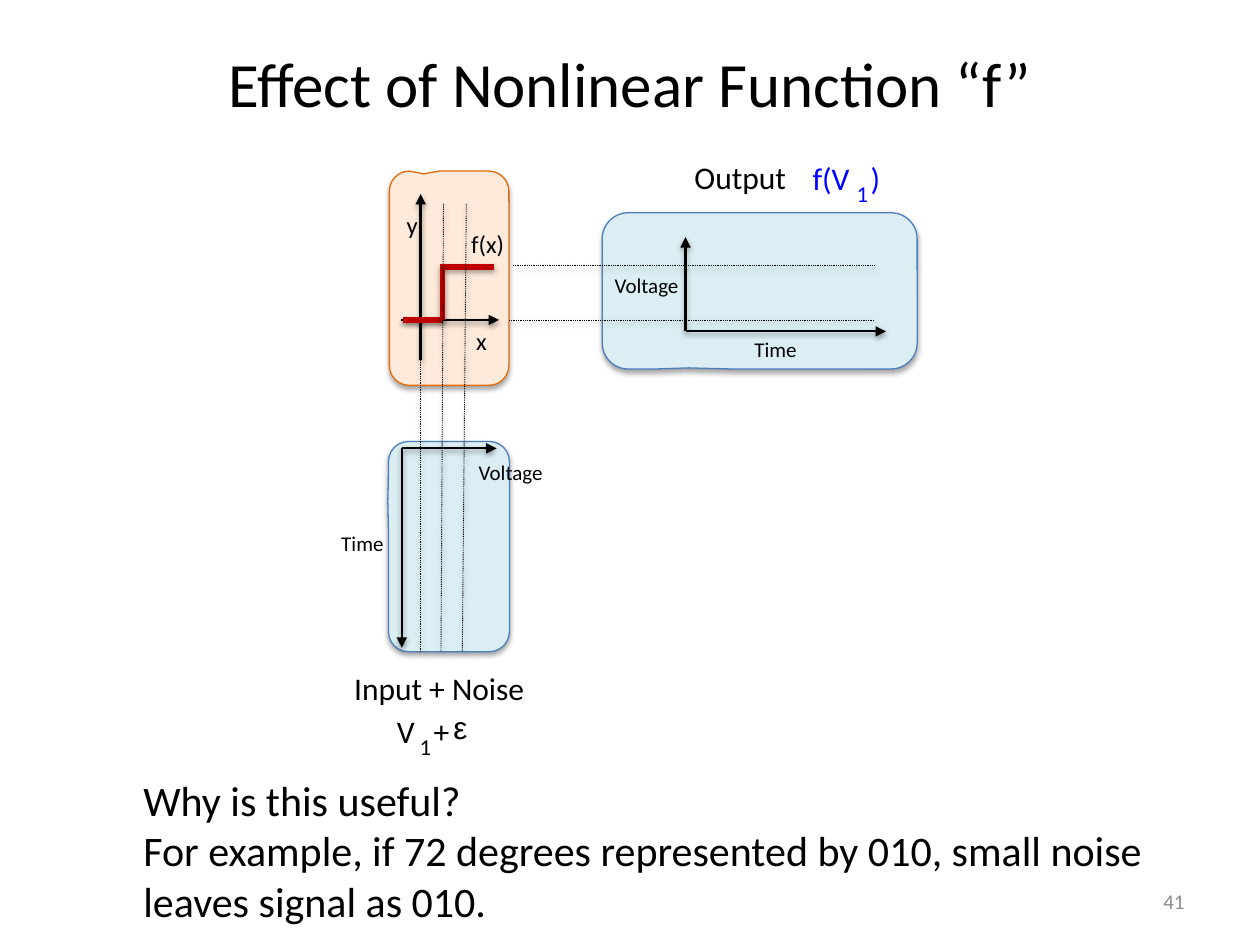
"""Build a slide on how a nonlinear step function suppresses input noise."""
from lxml import etree
from pptx import Presentation
from pptx.dml.color import RGBColor
from pptx.enum.dml import MSO_LINE
from pptx.enum.shapes import MSO_CONNECTOR, MSO_SHAPE
from pptx.enum.text import MSO_ANCHOR, MSO_AUTO_SIZE, PP_ALIGN
from pptx.oxml import parse_xml
from pptx.oxml.ns import nsdecls, qn
from pptx.util import Cm, Pt


def color(value):
    return RGBColor.from_string(value)


def add_shadow(shape, alpha, distance):
    shape._element.spPr.append(parse_xml(
        f'<a:effectLst {nsdecls("a")}><a:outerShdw blurRad="{Pt(3.1)}" dist="{Pt(distance)}" '
        'dir="5400000" rotWithShape="0"><a:srgbClr val="000000">'
        f'<a:alpha val="{alpha * 1000}"/></a:srgbClr></a:outerShdw></a:effectLst>'))


deck = Presentation()
deck.slide_width, deck.slide_height = Cm(25.4), Cm(19.05)
page = deck.slides.add_slide(deck.slide_layouts[6])

panels = [
    ((6.93, 9.8, 4.24, 2.44), 90, (-0.214, 0.505, 0.167), "DBEEF4", "4B7EBC"),
    ((7.85, 3.45, 2.41, 4.32), 0, (-0.214, -0.487, 0.167), "FDEADA", "E46C0A"),
    ((12.14, 4.29, 6.35, 3.15), 0, (-0.226, 0.493, 0.167), "DBEEF4", "4B7EBC"),
]
for place, rotation, adjustments, fill, outline in panels:
    panel = page.shapes.add_shape(MSO_SHAPE.ROUNDED_RECTANGULAR_CALLOUT, *map(Cm, place))
    panel.rotation = rotation
    for index, value in enumerate(adjustments):
        panel.adjustments[index] = value
    panel.fill.solid()
    panel.fill.fore_color.rgb = color(fill)
    panel.line.color.rgb = color(outline)
    panel.line.width = Pt(0.75)
    add_shadow(panel, 35, 1.8)

line_groups = [
    ("000000", 1.5, True, [(8.08, 6.45, 10.06, 6.45), (8.48, 7.26, 8.48, 3.91)]),
    ("C00000", 3, False, [(8.13, 6.45, 8.94, 6.45), (8.94, 5.38, 9.96, 5.38),
                          (8.92, 6.45, 8.92, 5.33)]),
    ("000000", 1.25, True, [(13.82, 6.68, 13.82, 4.78), (13.82, 6.68, 17.86, 6.68),
                            (8.1, 9.04, 10.01, 9.04), (8.1, 9.04, 8.1, 13.06)]),
    ("000000", 0.5, False, [(8.48, 7.26, 8.48, 13.13), (8.94, 4.11, 8.89, 13.13),
                            (9.4, 4.11, 9.32, 13.13), (10.26, 6.45, 17.63, 6.45),
                            (10.34, 5.36, 17.63, 5.36)]),
]
for stroke, width, arrow, lines in line_groups:
    for ends in lines:
        connector = page.shapes.add_connector(MSO_CONNECTOR.STRAIGHT, *map(Cm, ends))
        connector.line.color.rgb = color(stroke)
        connector.line.width = Pt(width)
        if width == 0.5:
            connector.line.dash_style = MSO_LINE.ROUND_DOT
        if arrow:
            outline = connector._element.spPr.find(qn("a:ln"))
            etree.SubElement(outline, qn("a:tailEnd"), type="triangle")
        add_shadow(connector, 38, 1.6)

tight = dict(margin_left=0, margin_right=0, margin_top=0, margin_bottom=0,
             word_wrap=False, auto_size=MSO_AUTO_SIZE.SHAPE_TO_FIT_TEXT)
label = dict(word_wrap=True, auto_size=MSO_AUTO_SIZE.SHAPE_TO_FIT_TEXT)
centered = dict(word_wrap=True, vertical_anchor=MSO_ANCHOR.MIDDLE)
left, center, right = PP_ALIGN.LEFT, PP_ALIGN.CENTER, PP_ALIGN.RIGHT
body = ["Why is this useful?",
        "For example, if 72 degrees represented by 010, small noise leaves signal as 010."]
texts = [
    (["Effect of Nonlinear Function “f”"], (1.27, 0.08, 22.86, 3.18), 36, "000000", centered, center),
    (["x"], (9.35, 6.45, 0.94, 0.86), 14, "000000", label, left),
    (["y"], (7.95, 4.11, 0.94, 0.86), 14, "000000", label, left),
    (["f(x)"], (9.25, 4.5, 1.3, 0.86), 14, "000000", label, left),
    (["Time"], (14.96, 6.65, 2.18, 0.76), 12, "000000", label, left),
    (["Voltage"], (12.14, 5.36, 2.18, 0.76), 12, "000000", label, left),
    (["Time"], (6.63, 10.57, 2.18, 0.76), 12, "000000", label, left),
    (["Voltage"], (9.4, 9.14, 2.18, 0.76), 12, "000000", label, left),
    (["Output"], (14, 3.18, 2.11, 0.84), 18, "000000", tight, left),
    (["f(V"], (16.38, 3.2, 0.76, 0.76), 18, "0000FF", tight, left),
    (["1"], (17.27, 3.63, 0.23, 0.56), 13, "0000FF", tight, left),
    ([")"], (17.55, 3.2, 0.2, 0.76), 18, "0000FF", tight, left),
    (["Input + Noise"], (7.14, 13.49, 3.48, 0.76), 18, "000000", tight, left),
    (["V"], (8, 14.35, 0.48, 0.84), 18, "000000", tight, left),
    (["1"], (8.46, 14.78, 0.25, 0.56), 13, "000000", tight, left),
    (["+"], (8.74, 14.35, 0.41, 0.84), 18, "000000", tight, left),
    (["ε"], (9.14, 14.27, 0.3, 0.84), 18, "000000", tight, left),
    (body, (2.64, 15.49, 21.16, 3.3), 24, "000000", label, left),
    (["41"], (18.21, 17.65, 5.92, 1.02), 12, "8C8C8C", centered, right),
]
for wording, place, size, ink, frame_format, alignment in texts:
    box = page.shapes.add_textbox(*map(Cm, place))
    for name, value in frame_format.items():
        setattr(box.text_frame, name, value)
    box.text_frame.text = "\n".join(wording)
    for para in box.text_frame.paragraphs:
        para.alignment = alignment
        for span in para.runs:
            font_format = dict(name="Arial" if span.text == "ε" else "Calibri", size=Pt(size))
            for name, value in font_format.items():
                setattr(span.font, name, value)
            span.font.color.rgb = color(ink)

deck.save("out.pptx")
